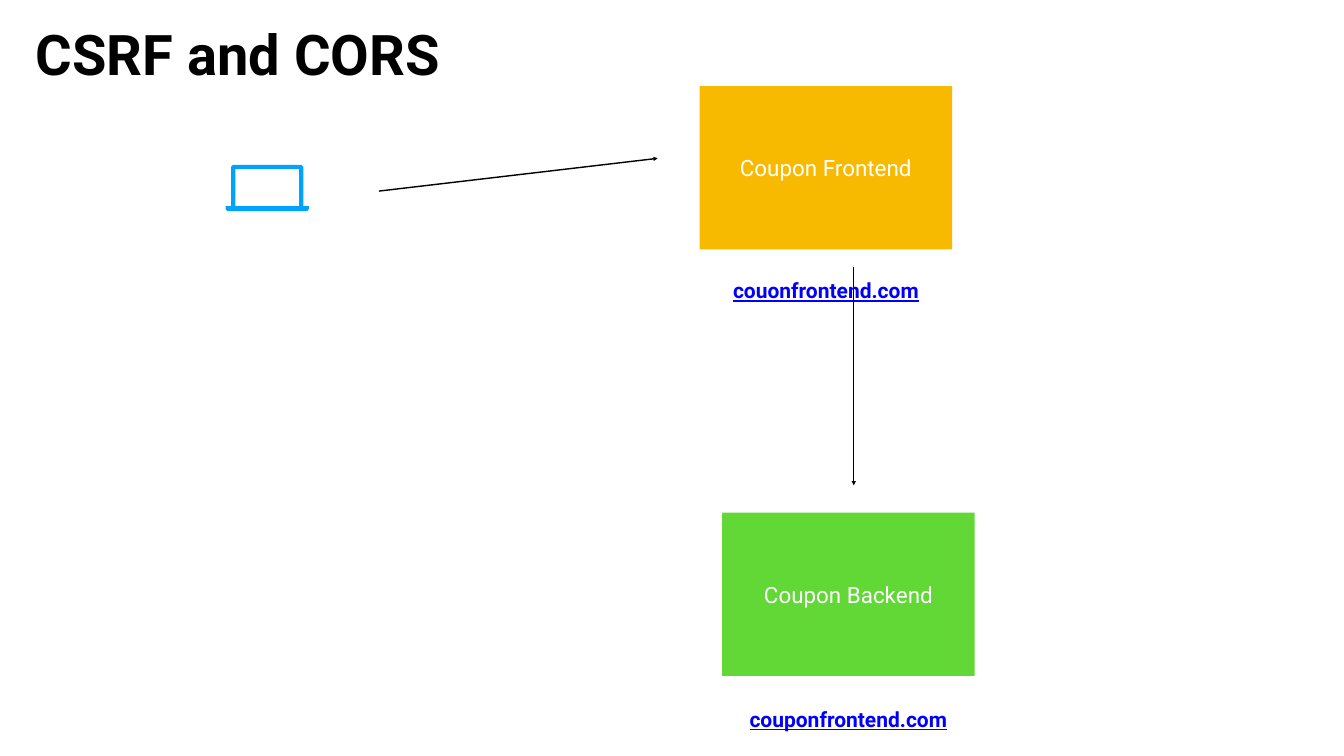
from lxml import etree
from pptx import Presentation
from pptx.dml.color import RGBColor
from pptx.enum.shapes import MSO_CONNECTOR, MSO_SHAPE
from pptx.enum.text import MSO_ANCHOR, MSO_AUTO_SIZE, PP_ALIGN
from pptx.oxml.ns import qn
from pptx.util import Cm, Pt

RECTANGLE = MSO_SHAPE.RECTANGLE
STRAIGHT = MSO_CONNECTOR.STRAIGHT
MIDDLE = MSO_ANCHOR.MIDDLE
CENTER = PP_ALIGN.CENTER
FIT_SHAPE = MSO_AUTO_SIZE.SHAPE_TO_FIT_TEXT
TITLE_ONLY = 5
FONT = "Roboto"
COLORS = {
    "black": "000000",
    "white": "FFFFFF",
    "link": "0000FF",
    "laptop": "00A2FF",
    "frontend": "F7BA01",
    "backend": "61D836",
}


def color(name):
    return RGBColor.from_string(COLORS[name])


def write(box, text, size, color_name, inset=0, bold=False, underline=False):
    frame = box.text_frame
    frame.vertical_anchor = MIDDLE
    frame.margin_left = frame.margin_right = Cm(inset)
    frame.margin_top = frame.margin_bottom = Cm(inset)
    para = frame.paragraphs[0]
    para.alignment = CENTER
    para.line_spacing = 1.0
    span = para.add_run()
    span.text = text
    span.font.name = FONT
    span.font.size = Pt(size)
    span.font.bold = bold
    span.font.underline = underline
    span.font.color.rgb = color(color_name)


def paint(shape, color_name):
    shape.shadow.inherit = False
    shape.fill.solid()
    shape.fill.fore_color.rgb = color(color_name)
    shape.line.fill.background()


def fit_to_text(box):
    box.text_frame.word_wrap = False
    box.text_frame.auto_size = FIT_SHAPE


def add_title(page, text):
    title = page.shapes.title
    title.left, title.top = Cm(0.64), Cm(0.86)
    title.width, title.height = Cm(22.71), Cm(3.63)
    write(title, text, 80, "black", inset=0.15, bold=True)
    fit_to_text(title)


def add_service(page, left, top, name, color_name):
    box = page.shapes.add_shape(RECTANGLE, Cm(left), Cm(top), Cm(12.73), Cm(8.23))
    paint(box, color_name)
    write(box, name, 32, "white")


def add_address(page, left, top, width, text):
    box = page.shapes.add_textbox(Cm(left), Cm(top), Cm(width), Cm(1.55))
    write(box, text, 30, "link", inset=0.15, bold=True, underline=True)
    fit_to_text(box)


def add_arrow(page, start, end):
    arrow = page.shapes.add_connector(STRAIGHT, *map(Cm, start + end))
    arrow.line.color.rgb = color("black")
    arrow.line.width = Pt(2)
    etree.SubElement(arrow.line._get_or_add_ln(), qn("a:tailEnd"), type="triangle")
    etree.SubElement(arrow._element.spPr, qn("a:effectLst"))


def mirrored(center, half):
    right = [(Cm(center + x), Cm(y)) for x, y in half]
    left = [(Cm(center - x), Cm(y)) for x, y in reversed(half)]
    return right + left


def add_laptop(page, center):
    body = mirrored(center, [(1.72, 8.31), (1.82, 8.41), (1.82, 10.39),
                             (2.1, 10.39), (2.1, 10.54), (2.0, 10.64)])
    screen = mirrored(center, [(1.61, 8.51), (1.61, 10.39)])
    builder = page.shapes.build_freeform(*body[0])
    builder.add_line_segments(body[1:])
    builder.move_to(*screen[0])
    builder.add_line_segments(screen[1:])
    paint(builder.convert_to_shape(), "laptop")


def main():
    deck = Presentation()
    deck.slide_width, deck.slide_height = Cm(67.74), Cm(38.1)
    page = deck.slides.add_slide(deck.slide_layouts[TITLE_ONLY])
    add_title(page, "CSRF and CORS")
    add_laptop(page, 13.47)
    add_service(page, 36.4, 25.83, "Coupon Backend", "backend")
    add_service(page, 35.26, 4.34, "Coupon Frontend", "frontend")
    add_arrow(page, (43.03, 13.46), (43.03, 24.46))
    add_arrow(page, (19.1, 9.63), (33.15, 7.98))
    add_address(page, 36.5, 13.87, 10.26, "couonfrontend.com")
    add_address(page, 37.31, 35.46, 10.9, "couponfrontend.com")
    deck.save("out.pptx")


if __name__ == "__main__":
    main()
